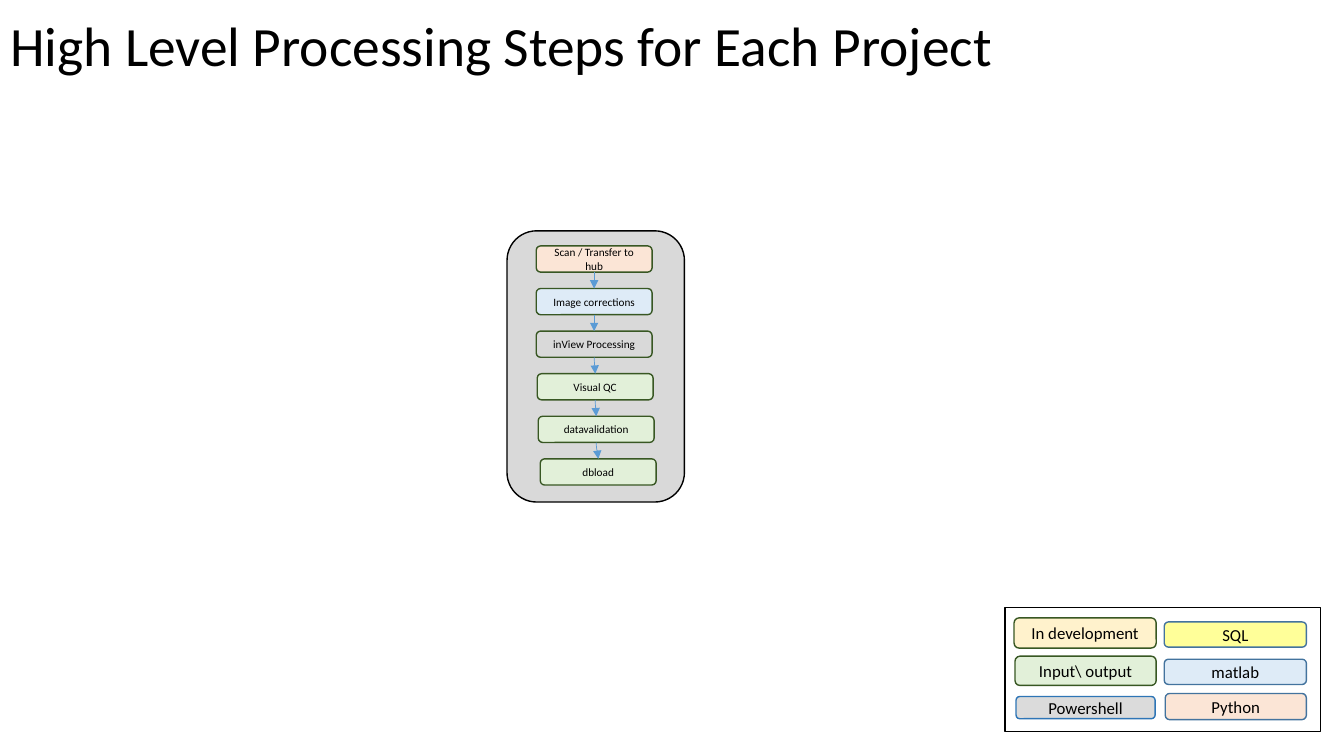
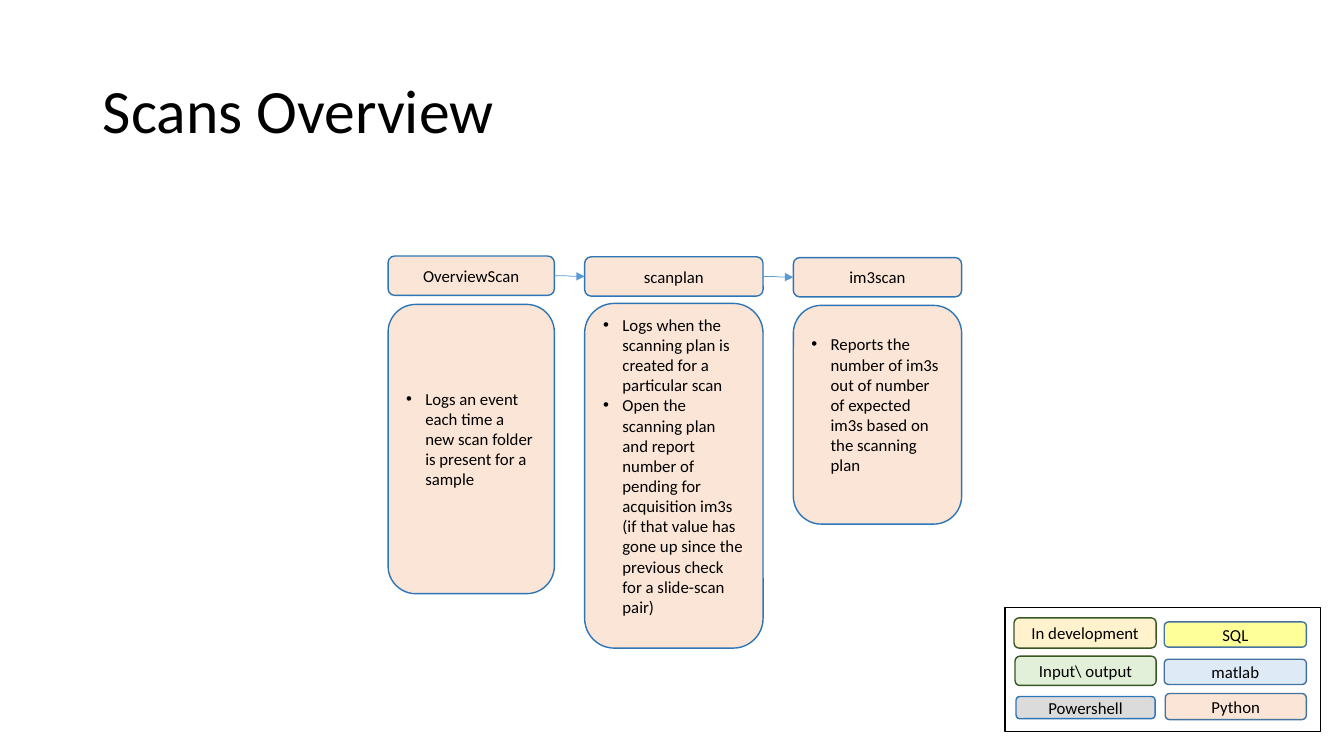
import pptx
import pptx.util
import pptx.dml.color
import pptx.enum.shapes
import pptx.enum.text
import pptx.oxml
import pptx.oxml.ns
from lxml import etree

COLORS = {
    "text": "000000", "white": "FFFFFF", "panel": "D9D9D9", "arrow": "5B9BD5",
    "development": "FFF2CC", "output": "E2F0D9", "powershell": "DBDBDB",
    "sql": "FFFF99", "matlab": "DEEBF7", "python": "FBE5D6",
    "green line": "385723", "blue line": "2E75B6", "slate line": "43739E",
}
FONT = "Calibri"
COLUMNS, ROWS = 160, 90
SHAPE = pptx.enum.shapes.MSO_SHAPE
ALIGN = pptx.enum.text.PP_ALIGN

# label, fill, line, box in columns and rows
LEGEND = [
    ("In development", "development", "green line", (120.72, 73.56, 16.92, 3.6)),
    ("Input\\ output", "output", "green line", (120.84, 78.12, 16.8, 3.48)),
    ("matlab", "matlab", "slate line", (138.6, 78.48, 16.92, 3)),
    ("Powershell", "powershell", "blue line", (120.96, 82.92, 16.56, 2.64)),
    ("Python", "python", "slate line", (138.72, 82.56, 16.8, 3.12)),
    ("SQL", "sql", "slate line", (138.6, 74.04, 16.92, 3)),
]

# label, fill, left column
STEPS = [
    ("Scan / Transfer to hub", "python", 63.84),
    ("Image corrections", "matlab", 63.84),
    ("inView Processing", "panel", 63.84),
    ("Visual QC", "output", 63.96),
    ("datavalidation", "output", 64.08),
    ("dbload", "output", 64.32),
]

# heading, left, width, card top, card height, points
SCANS = [
    ("OverviewScan", 46.2, 19.8, 36.24, 34.44,
     ["Logs an event each time a new scan folder is present for a sample"]),
    ("scanplan", 69.6, 21.24, 36.12, 41.04,
     ["Logs when the scanning plan is created for a particular scan",
      "Open the scanning plan and report number of pending for acquisition "
      "im3s (if that value has gone up since the previous check for a "
      "slide-scan pair)"]),
    ("im3scan", 94.44, 20.04, 36.36, 26.04,
     ["Reports the number of im3s out of number of expected im3s based on "
      "the scanning plan"]),
]


def rgb(name):
    """Return the named colour."""
    return pptx.dml.color.RGBColor.from_string(COLORS[name])


class Deck:
    """Holds the shared style and the slide being drawn."""

    def __init__(self):
        """Start an empty wide presentation."""
        self.show = pptx.Presentation()
        self.show.slide_width = pptx.util.Inches(13.33)
        self.show.slide_height = pptx.util.Inches(7.5)
        self.column = self.show.slide_width / COLUMNS
        self.row = self.show.slide_height / ROWS

    def place(self, x, y):
        """Turn a column and row into slide units."""
        return round(x * self.column), round(y * self.row)

    def slide(self, title, box, size):
        """Add a title-only slide and format its title."""
        self.page = self.show.slides.add_slide(self.show.slide_layouts[5])
        self.shapes = self.page.shapes
        heading = self.shapes.title
        heading.left, heading.top = self.place(*box[:2])
        heading.width, heading.height = self.place(*box[2:])
        self.fill_text(heading.text_frame, [title], size, ALIGN.LEFT)
        heading.text_frame.paragraphs[0].line_spacing = 0.9

    def group(self):
        """Send the next elements into a new group."""
        self.shapes = self.page.shapes.add_group_shape().shapes

    def fill_text(self, frame, texts, size, align):
        """Fill a text frame with one paragraph per text."""
        frame.word_wrap = True
        frame.auto_size = pptx.enum.text.MSO_AUTO_SIZE.NONE
        frame.vertical_anchor = pptx.enum.text.MSO_ANCHOR.MIDDLE
        frame.text = "\n".join(texts)
        for paragraph in frame.paragraphs:
            paragraph.alignment = align
            paragraph.font.name = FONT
            paragraph.font.size = pptx.util.Pt(size)
            paragraph.font.color.rgb = rgb("text")

    def box(self, box, fill, line, text=None, size=12, kind=SHAPE.ROUNDED_RECTANGLE):
        """Draw a filled box with an optional centred label."""
        shape = self.shapes.add_shape(kind, *self.place(*box[:2]), *self.place(*box[2:]))
        shape.shadow.inherit = False
        shape.fill.solid()
        shape.fill.fore_color.rgb = rgb(fill)
        shape.line.color.rgb = rgb(line)
        shape.line.width = pptx.util.Pt(1)
        if text:
            self.fill_text(shape.text_frame, [text], size, ALIGN.CENTER)
        return shape

    def card(self, box, fill, line, points):
        """Draw a box with a bulleted list set slightly above its middle."""
        frame = self.box(box, fill, line).text_frame
        self.fill_text(frame, points, 12, ALIGN.LEFT)
        frame.margin_bottom = pptx.util.Inches(0.25)
        indent = pptx.util.Inches(0.19)
        for paragraph in frame.paragraphs:
            layout = paragraph._p.get_or_add_pPr()
            layout.set("marL", str(indent))
            layout.set("indent", str(-indent))
            bullet_font = pptx.oxml.ns.qn("a:buFont")
            bullet = pptx.oxml.ns.qn("a:buChar")
            marks = [etree.Element(bullet_font, typeface="Arial"),
                     etree.Element(bullet, char="\u2022")]
            for position, mark in enumerate(marks):
                layout.insert(position, mark)

    def arrow(self, start, end, down=False):
        """Draw a thin curved arrow, leaving sideways or downwards."""
        x1, y1 = self.place(*start)
        x2, y2 = self.place(*end)
        turn = 0
        if down:
            middle_x, middle_y = (x1 + x2) // 2, (y1 + y2) // 2
            reach, drift = (y2 - y1) // 2, abs(x2 - x1) // 2
            turn = 270 if x2 >= x1 else 90
            side = reach if turn == 270 else -reach
            x1, x2 = middle_x + side, middle_x - side
            y1, y2 = middle_y - drift, middle_y + drift
        curve = pptx.enum.shapes.MSO_CONNECTOR.CURVE
        link = self.shapes.add_connector(curve, x1, y1, x2, y2)
        link.line.color.rgb = rgb("arrow")
        link.line.width = pptx.util.Pt(0.5)
        qn = pptx.oxml.ns.qn
        properties = link._element.spPr
        if turn:
            properties.find(qn("a:xfrm")).set("rot", str(turn * 60000))
        etree.SubElement(properties.find(qn("a:ln")), qn("a:tailEnd"), type="triangle")
        etree.SubElement(properties, qn("a:effectLst"))

    def legend(self):
        """Draw the colour key in the lower right corner."""
        self.group()
        self.box((119.64, 72.36, 37.56, 14.76), "white", "text", kind=SHAPE.RECTANGLE)
        for label, fill, line, box in LEGEND:
            self.box(box, fill, line, label)


def processing_steps(deck):
    """Build the vertical chain of project steps."""
    deck.slide("High Level Processing Steps for Each Project", (0, 0, 125.28, 11.64), 39.6)
    deck.legend()
    deck.group()
    deck.box((60.36, 27.48, 21.12, 32.28), "panel", "text")
    width, height, first, pitch = 13.8, 3.12, 29.28, 5.07
    previous = None
    for index, (label, fill, left) in enumerate(STEPS):
        top = first + index * pitch
        center = left + width / 2
        deck.box((left, top, width, height), fill, "green line", label, 8)
        if previous:
            deck.arrow(previous, (center, top), down=True)
        previous = (center, top + height)


def scans_overview(deck):
    """Build the three scan stages with their descriptions."""
    deck.slide("Scans Overview", (11.04, 4.8, 138, 17.4), 44)
    height, first, drop = 4.68, 30.48, 0.09
    previous = None
    for index, (label, left, width, card_top, card_height, points) in enumerate(SCANS):
        top = first + index * drop
        middle = top + height / 2
        deck.box((left, top, width, height), "python", "blue line", label)
        deck.card((left, card_top, width, card_height), "python", "blue line", points)
        if previous:
            deck.arrow(previous, (left, middle))
        previous = (left + width, middle)
    deck.legend()


deck = Deck()
processing_steps(deck)
scans_overview(deck)
deck.show.save("out.pptx")
